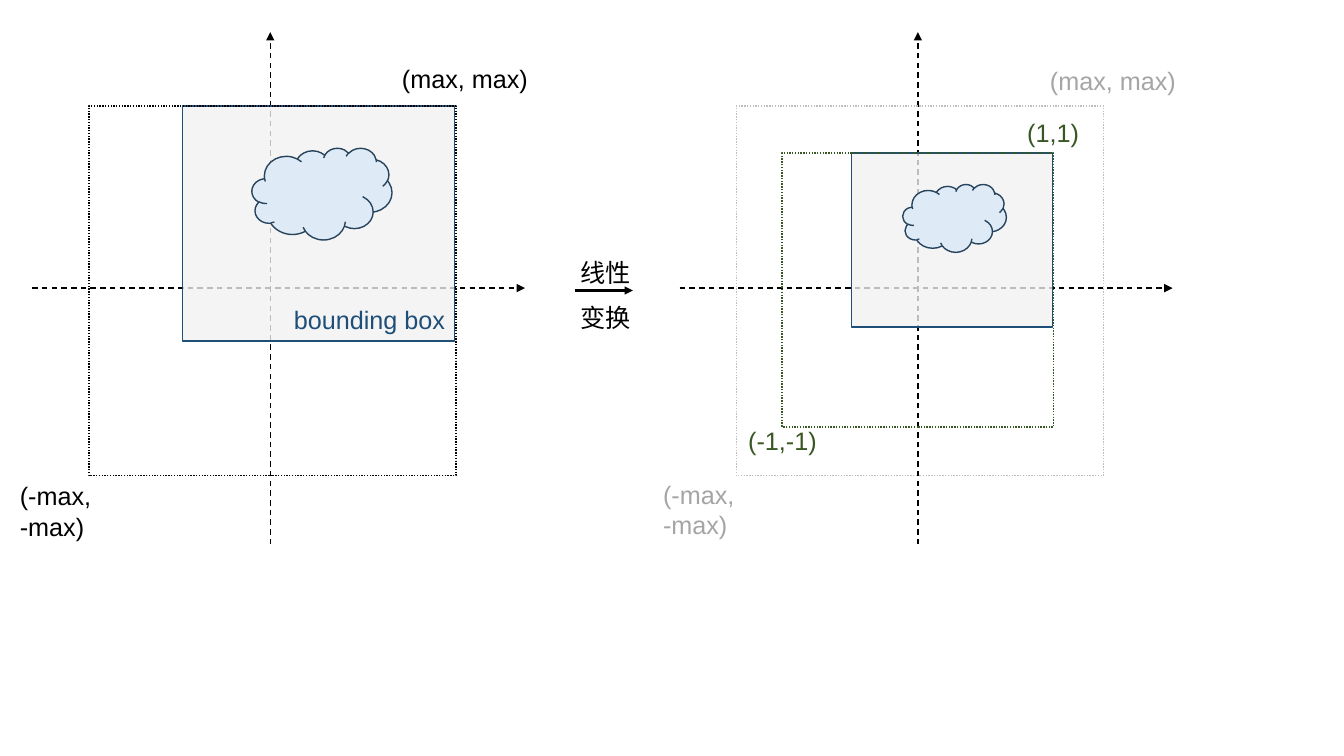
from lxml.etree import SubElement
from pptx import Presentation
from pptx.dml.color import RGBColor
from pptx.enum.dml import MSO_LINE_DASH_STYLE as Dash
from pptx.enum.shapes import MSO_CONNECTOR, MSO_SHAPE as Preset
from pptx.enum.text import MSO_AUTO_SIZE, PP_ALIGN as Align
from pptx.oxml.ns import qn
from pptx.util import Cm, Pt

COLORS = {
    "ink": "000000", "box_fill": "F2F2F2", "box_line": "1F4E79",
    "cloud_fill": "DEEBF7", "cloud_line": "28445D",
    "unit": "385723", "faded_line": "BEBEBE", "faded_text": "A5A5A5",
}

MAX_SQUARE = (2.24, 2.67, 9.25, 9.32)
BOUNDING_BOX = (4.6, 2.67, 6.86, 5.92)
CLOUD = (6.35, 3.73, 3.53, 2.31)
X_AXIS = (0.81, 7.26, 13.23, 7.26)
Y_AXIS = (6.81, 13.72, 6.81, 0.81)
PANEL_SHIFT = 16.32
UNIT_ORIGIN = (19.71, 3.86)
UNIT_SCALE = 0.74
TRANSFORM_ARROW = (14.48, 7.32, 15.95, 7.32)

LABELS = [
    (["(-max, -max)"], (0.25, 11.99, 3.96, 1.02), "ink", Align.LEFT, 1),
    (["(max, max)"], (9.88, 1.47, 3.78, 1.02), "ink", Align.LEFT, 1),
    (["bounding box"], (7.06, 7.54, 4.5, 1.02), "box_line", Align.CENTER, 1),
    (["(1,1)"], (25.55, 2.82, 1.98, 1.02), "unit", Align.CENTER, 1),
    (["(-1,-1)"], (18.59, 10.59, 2.26, 1.02), "unit", Align.CENTER, 1),
    (["线性", "变换"], (13.56, 5.97, 3.4, 2.44), "ink", Align.CENTER, 1.5),
    (["(-max, -max)"], (16.46, 11.96, 3.96, 1.02), "faded_text", Align.LEFT, 1),
    (["(max, max)"], (26.21, 1.52, 3.78, 1.02), "faded_text", Align.LEFT, 1),
]

deck = Presentation()
deck.slide_width, deck.slide_height = Cm(33.87), Cm(19.05)
slide = deck.slides.add_slide(deck.slide_layouts[6])


def color(key):
    return RGBColor.from_string(COLORS[key])


def add_arrow(ends, shift=0, width=1, dash=None):
    x1, y1, x2, y2 = ends
    arrow = slide.shapes.add_connector(
        MSO_CONNECTOR.STRAIGHT, Cm(x1 + shift), Cm(y1), Cm(x2 + shift), Cm(y2))
    arrow.line.color.rgb = color("ink")
    arrow.line.width = Pt(width)
    if dash:
        arrow.line.dash_style = dash
    SubElement(arrow.line._get_or_add_ln(), qn("a:tailEnd"), type="triangle")
    SubElement(arrow._element.spPr, qn("a:effectLst"))


def add_figure(preset, place, line, fill=None, opacity=None, dash=None):
    figure = slide.shapes.add_shape(preset, *map(Cm, place))
    figure.shadow.inherit = False
    figure.line.color.rgb = color(line)
    figure.line.width = Pt(1)
    if dash:
        figure.line.dash_style = dash
    if fill is None:
        figure.fill.background()
        return
    figure.fill.solid()
    figure.fill.fore_color.rgb = color(fill)
    if opacity:
        tint = figure._element.spPr.find(qn("a:solidFill"))[0]
        SubElement(tint, qn("a:alpha"), val=str(opacity * 1000))


def to_unit(place):
    left, top, width, height = place
    return (UNIT_ORIGIN[0] + (left - MAX_SQUARE[0]) * UNIT_SCALE,
            UNIT_ORIGIN[1] + (top - MAX_SQUARE[1]) * UNIT_SCALE,
            width * UNIT_SCALE, height * UNIT_SCALE)


def unchanged(place):
    return place


def add_panel(shift, transform, square_line):
    for axis in (X_AXIS, Y_AXIS):
        add_arrow(axis, shift, dash=Dash.DASH)
    add_figure(Preset.RECTANGLE, transform(BOUNDING_BOX), "box_line", "box_fill", opacity=78)
    add_figure(Preset.CLOUD, transform(CLOUD), "cloud_line", "cloud_fill")
    add_figure(Preset.RECTANGLE, transform(MAX_SQUARE), square_line, dash=Dash.ROUND_DOT)


def add_label(lines, place, ink, align, spacing):
    label = slide.shapes.add_textbox(*map(Cm, place)).text_frame
    label.word_wrap = True
    label.auto_size = MSO_AUTO_SIZE.SHAPE_TO_FIT_TEXT
    label.text = "\n".join(lines)
    for paragraph in label.paragraphs:
        paragraph.alignment = align
        paragraph.line_spacing = float(spacing)
        paragraph.font.name = "Arial"
        paragraph.font.size = Pt(18)
        paragraph.font.color.rgb = color(ink)


add_panel(0, unchanged, "ink")
add_panel(PANEL_SHIFT, to_unit, "unit")
left, *rest = MAX_SQUARE
add_figure(Preset.RECTANGLE, (left + PANEL_SHIFT, *rest), "faded_line", dash=Dash.ROUND_DOT)
add_arrow(TRANSFORM_ARROW, width=1.5)
for label_row in LABELS:
    add_label(*label_row)

deck.save("out.pptx")
